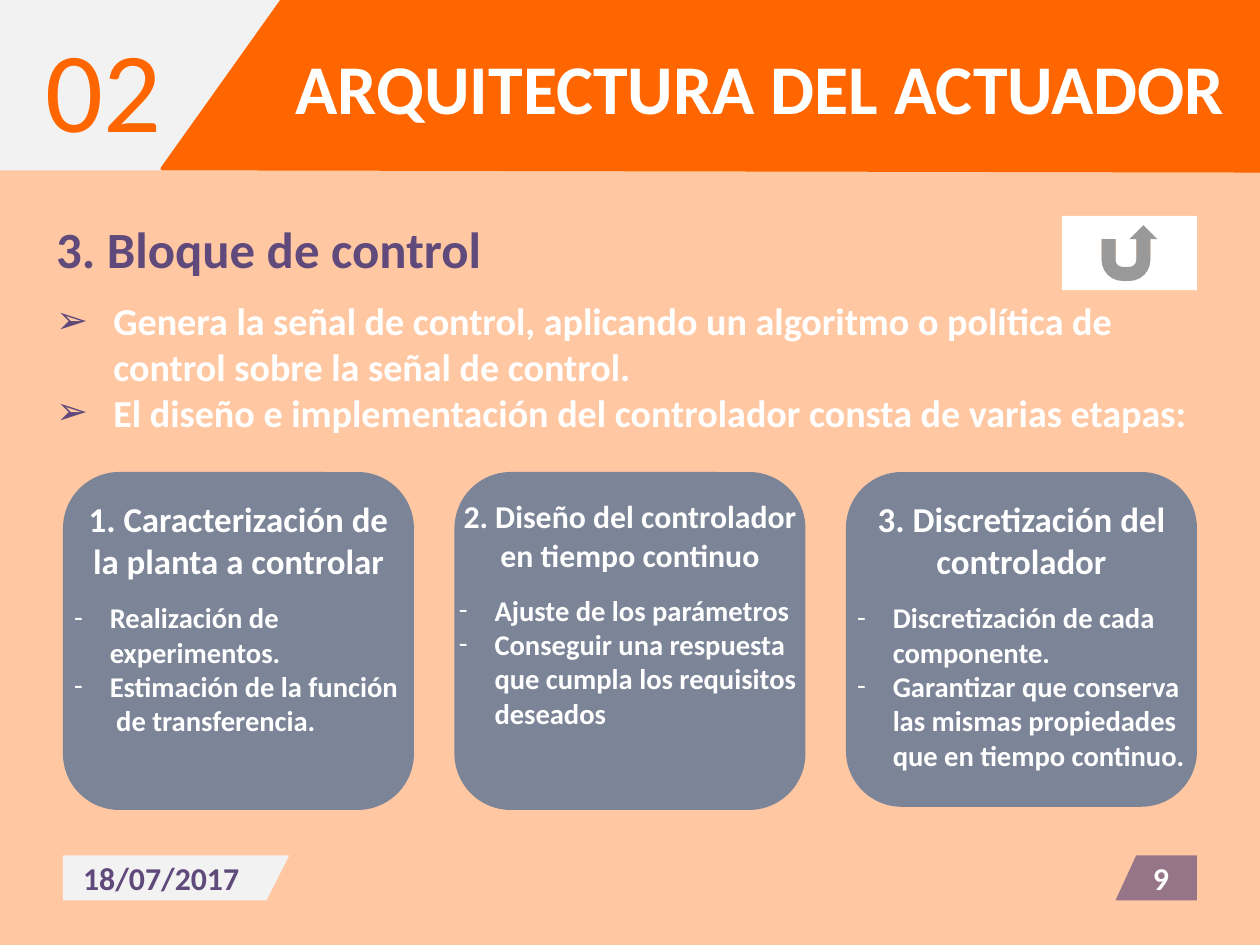
from lxml import etree
from pptx import Presentation
from pptx import util as u
from pptx.dml.color import RGBColor
from pptx.enum import shapes, text
from pptx.oxml.ns import qn

# Content
SECTION = "02"
TITLE = "ARQUITECTURA DEL ACTUADOR"
HEADING = "3. Bloque de control"
POINTS = [
    "Genera la señal de control, aplicando un algoritmo o política de control sobre la señal de control.",
    "El diseño e implementación del controlador consta de varias etapas:",
]
# Stage title, title size, card height, text width, steps
STAGES = [
    ("1. Caracterización de la planta a controlar", 22, 7.51, 7.8,
     ["Realización de experimentos.",
      "Estimación de la función  de transferencia."]),
    ("2. Diseño del controlador en tiempo continuo", 20, 7.51, 8.1,
     ["Ajuste de los parámetros",
      "Conseguir una respuesta que cumpla los requisitos deseados"]),
    ("3. Discretización del controlador", 22, 7.44, 7.8,
     ["Discretización de cada componente.",
      "Garantizar que conserva las mismas propiedades que en tiempo continuo."]),
]
DATE, NUMBER = "18/07/2017", "9"

# Colours and measures (cm, points)
ORANGE, PEACH, PURPLE, BLUE = "FF6600", "FFC8A3", "604A7B", "376092"
GREY, WHITE = "F2F2F2", "FFFFFF"
WIDTH, HEIGHT = 28, 21
LEFT, CARD_TOP, CARD_WIDTH, CARD_STEP = 1.4, 10.49, 7.8, 8.7
RIGHT = LEFT + 2 * CARD_STEP + CARD_WIDTH
FOOT_TOP, FOOT_HEIGHT = 19.01, 1.0
GAP = 12.2
INSET, CARD_INSET = (0.25, 0.13), (0.25, 0.56)

deck = Presentation()
deck.slide_width, deck.slide_height = u.Cm(WIDTH), u.Cm(HEIGHT)
page = deck.slides.add_slide(deck.slide_layouts[6])


def colour(value):
    return RGBColor.from_string(value)


def paint(shape, fill, opacity=100, line=None):
    shape.shadow.inherit = False
    shape.fill.solid()
    shape.fill.fore_color.rgb = colour(fill)
    if opacity < 100:
        tint = shape._element.spPr.find(".//" + qn("a:srgbClr"))
        etree.SubElement(tint, qn("a:alpha"), val=str(opacity * 1000))
    if line:
        shape.line.color.rgb = colour(line)
        shape.line.width = u.Pt(2)
    else:
        shape.line.fill.background()


def add_preset(kind, x, y, w, h, fill, **look):
    shape = page.shapes.add_shape(kind, u.Cm(x), u.Cm(y), u.Cm(w), u.Cm(h))
    paint(shape, fill, **look)


def add_outline(corners, fill, **look):
    points = [(u.Cm(x), u.Cm(y)) for x, y in corners]
    builder = page.shapes.build_freeform(*points[0])
    builder.add_line_segments(points[1:], close=True)
    paint(builder.convert_to_shape(), fill, **look)


def add_box(x, y, w, h, inset=INSET, anchor=text.MSO_ANCHOR.TOP):
    frame = page.shapes.add_textbox(u.Cm(x), u.Cm(y), u.Cm(w), u.Cm(h)).text_frame
    frame.word_wrap = True
    frame.vertical_anchor = anchor
    frame.margin_left = frame.margin_right = u.Cm(inset[0])
    frame.margin_top, frame.margin_bottom = u.Cm(inset[1]), u.Cm(INSET[1])
    if inset == (0, 0):
        frame.margin_bottom = 0
    return frame


def write(frame, words, size, ink=WHITE, bold=True, centre=False, before=0,
          bullet=None, bullet_ink=WHITE, indent=0):
    first = frame.paragraphs[0]
    para = first if not first.runs else frame.add_paragraph()
    para.alignment = text.PP_ALIGN.CENTER if centre else text.PP_ALIGN.LEFT
    para.space_before = u.Pt(before)
    span = para.add_run()
    span.text = words
    span.font.name, span.font.size, span.font.bold = "Calibri", u.Pt(size), bold
    span.font.color.rgb = colour(ink)
    if bullet:
        props = para._p.get_or_add_pPr()
        props.set("marL", str(u.Cm(indent)))
        props.set("indent", str(-u.Cm(indent)))
        tint = etree.SubElement(props, qn("a:buClr"))
        etree.SubElement(tint, qn("a:srgbClr"), val=bullet_ink)
        etree.SubElement(props, qn("a:buFont"), typeface="Calibri")
        etree.SubElement(props, qn("a:buChar"), char=bullet)


# Background and header
page.background.fill.solid()
page.background.fill.fore_color.rgb = colour(PEACH)
add_preset(shapes.MSO_SHAPE.RECTANGLE, 0, 0, 8.61, 3.79, GREY)
add_outline([(3.6, 3.75), (6.27, 0), (WIDTH, 0), (WIDTH, 3.8)], ORANGE, line=ORANGE)
write(add_box(0, 0.28, 4.6, 3.33), SECTION, 72, ink=ORANGE, bold=False, centre=True)
write(add_box(5.8, 0.86, 22.2, 2.13), TITLE, 44, centre=True)

# Introduction
intro = add_box(1, 4.7, 26, 5.56)
write(intro, HEADING, 32, ink=PURPLE)
for index, point in enumerate(POINTS):
    write(intro, point, 24, before=0 if index else GAP,
          bullet="➢", bullet_ink=PURPLE, indent=1.27)

# Stage cards
for index, (name, size, height, text_width, steps) in enumerate(STAGES):
    x = LEFT + index * CARD_STEP
    add_preset(shapes.MSO_SHAPE.ROUNDED_RECTANGLE, x, CARD_TOP, CARD_WIDTH, height,
               BLUE, opacity=65)
    card = add_box(x + (CARD_WIDTH - text_width) / 2, CARD_TOP, text_width, 6.1, CARD_INSET)
    write(card, name, size, centre=True)
    for order, step in enumerate(steps):
        write(card, step, 18, before=0 if order else GAP, bullet="-", indent=0.79)

# Footer: date and page number
foot_end = FOOT_TOP + FOOT_HEIGHT
add_outline([(LEFT, FOOT_TOP), (6.43, FOOT_TOP), (5.92, foot_end), (LEFT, foot_end)], GREY)
add_outline([(25.25, FOOT_TOP), (RIGHT, FOOT_TOP), (RIGHT, foot_end), (24.79, foot_end)],
            PURPLE, opacity=65)
for words, x, w, ink in [(DATE, LEFT, 4.37, PURPLE), (NUMBER, 25, 1.6, WHITE)]:
    label = add_box(x, FOOT_TOP, w, FOOT_HEIGHT, (0, 0), text.MSO_ANCHOR.MIDDLE)
    write(label, words, 20, ink=ink, centre=True)

# Return button
add_preset(shapes.MSO_SHAPE.ACTION_BUTTON_RETURN, RIGHT - 3, 4.8, 3, 1.65, WHITE)

deck.save("out.pptx")
